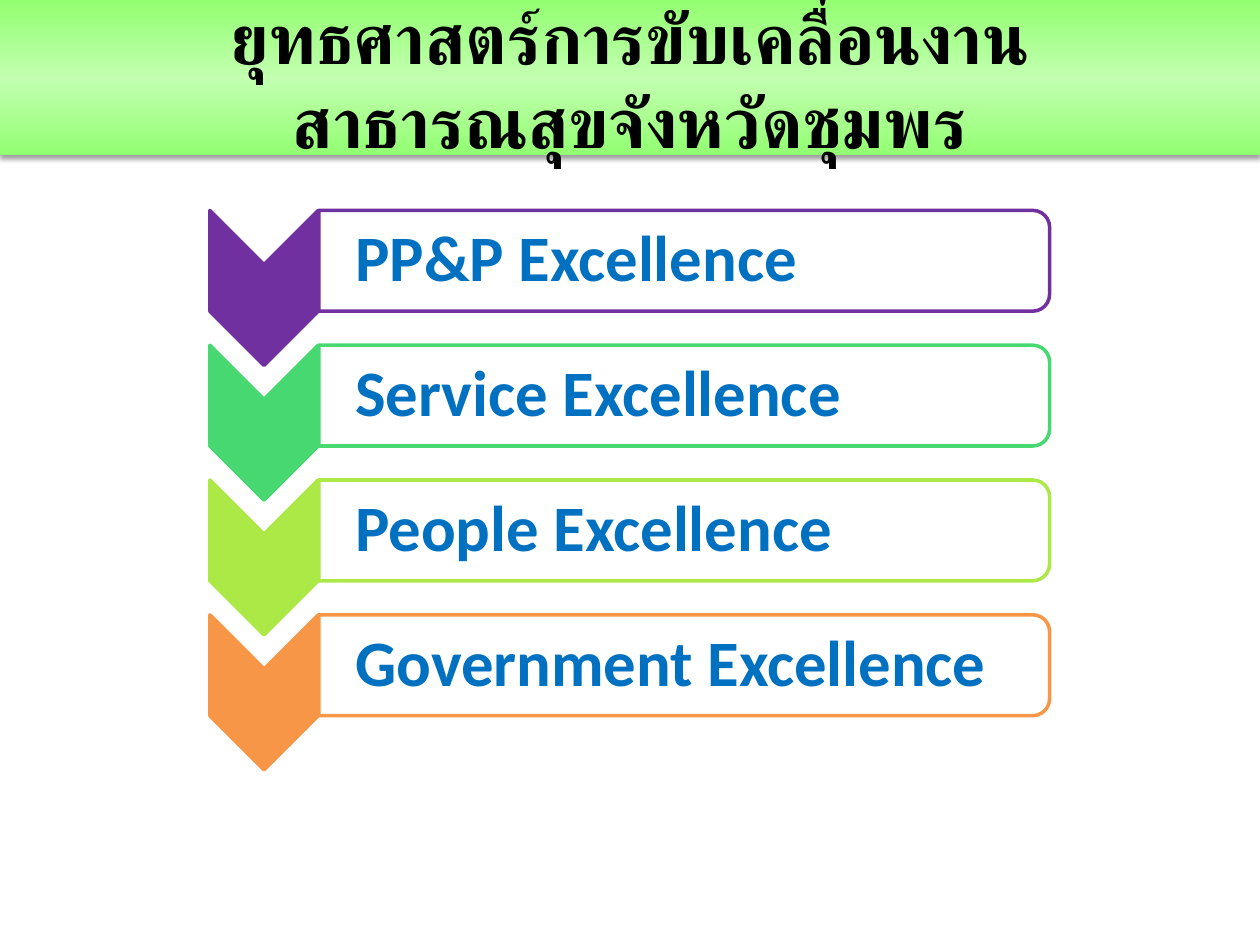
from copy import deepcopy

from lxml import etree
from pptx import Presentation
from pptx import util as u
from pptx.dml.color import RGBColor
from pptx.enum import lang, shapes, text
from pptx.oxml import parse_xml
from pptx.oxml.ns import nsdecls, qn

COLORS = {
    "band_edge": "92FF70", "band_middle": "C2FFB0", "band_end": "93FF73",
    "title": "000000", "label": "0070C0", "bar": "FFFFFF", "shadow": "000000",
    "purple": "7030A0", "green": "47D872", "lime": "ACE946", "orange": "F79646",
}
STRATEGIES = [
    ("PP&P Excellence", "purple"),
    ("Service Excellence", "green"),
    ("People Excellence", "lime"),
    ("Government Excellence", "orange"),
]
COLUMNS, ROWS = 100, 75
FIRST_ROW, ROW_STEP = 16.7, 10.7


class SlideBuilder:
    """Draws on one slide; places are left, top, width, height in grid units."""

    def __init__(self, deck):
        self.page = deck.slides.add_slide(deck.slide_layouts[6])
        self.column = deck.slide_width / COLUMNS
        self.row = deck.slide_height / ROWS
        self.font = "Calibri"

    def place(self, left, top, width, height):
        return (u.Emu(round(left * self.column)), u.Emu(round(top * self.row)),
                u.Emu(round(width * self.column)), u.Emu(round(height * self.row)))

    def color(self, name):
        return RGBColor.from_string(COLORS[name])

    def band(self, *area):
        """Adds a three-stop vertical gradient with a soft shadow below it."""
        band = self.page.shapes.add_shape(shapes.MSO_SHAPE.RECTANGLE, *self.place(*area))
        band.line.fill.background()
        band.fill.gradient()
        band.fill.gradient_angle = 270
        stop_list = band._element.spPr.find(".//" + qn("a:gsLst"))
        stop_list.insert(1, deepcopy(stop_list[0]))
        stops = zip(band.fill.gradient_stops, ("band_edge", "band_middle", "band_end"), (0, 0.5, 1))
        for stop, name, position in stops:
            stop.color.rgb = self.color(name)
            stop.position = position
        band.shadow.inherit = False
        effects = band._element.spPr.find(qn("a:effectLst"))
        effects.append(parse_xml(
            f'<a:outerShdw {nsdecls("a")} blurRad="{u.Pt(3.1)}" dist="{u.Pt(1.6)}" '
            f'dir="5400000" rotWithShape="0"><a:srgbClr val="{COLORS["shadow"]}">'
            '<a:alpha val="38000"/></a:srgbClr></a:outerShdw>'))

    def turned(self, kind, area, fill, line, opacity=100):
        """Adds a shape turned a quarter clockwise that covers the given area."""
        left, top, width, height = self.place(*area)
        shift = (width - height) // 2
        shape = self.page.shapes.add_shape(kind, left + shift, top - shift, height, width)
        shape.rotation = 90
        shape.shadow.inherit = False
        shape.fill.solid()
        shape.fill.fore_color.rgb = self.color(fill)
        if opacity < 100:
            color = shape._element.spPr.find(qn("a:solidFill"))[0]
            etree.SubElement(color, qn("a:alpha"), val=str(opacity * 1000))
        shape.line.color.rgb = self.color(line)
        shape.line.width = u.Pt(2)

    def words(self, content, area, size, color, align, insets, spacing=1.0, language=None):
        box = self.page.shapes.add_textbox(*self.place(*area))
        frame = box.text_frame
        frame.word_wrap = True
        frame.vertical_anchor = text.MSO_ANCHOR.MIDDLE
        frame.margin_left, frame.margin_top, frame.margin_right, frame.margin_bottom = map(u.Inches, insets)
        para = frame.paragraphs[0]
        para.alignment = align
        para.line_spacing = spacing
        span = para.add_run()
        span.text = content
        span.font.name = self.font
        span.font.size = u.Pt(size)
        span.font.bold = True
        span.font.color.rgb = self.color(color)
        if language:
            span.font.language_id = language

    def strategy(self, top, label, color):
        self.turned(shapes.MSO_SHAPE.CHEVRON, (16.65, top, 8.6, 12.3), color, color)
        self.turned(shapes.MSO_SHAPE.ROUND_2_SAME_RECTANGLE, (25.3, top, 58, 8), "bar", color, opacity=90)
        self.words(label, (25.3, top + 0.4, 57.6, 7.2), 37, "label", text.PP_ALIGN.LEFT,
                   (0.29, 0.03, 0.03, 0.03), spacing=0.9)


def main():
    deck = Presentation()
    deck.slide_width, deck.slide_height = u.Inches(10), u.Inches(7.5)
    slide = SlideBuilder(deck)
    slide.band(0, 0, COLUMNS, 12.3)
    slide.words("ยุทธศาสตร์การขับเคลื่อนงานสาธารณสุขจังหวัดชุมพร", (5, 0, 90, 12.5), 40, "title",
                text.PP_ALIGN.CENTER, (0.1, 0.05, 0.1, 0.05), language=lang.MSO_LANGUAGE_ID.THAI)
    for index, (label, color) in enumerate(STRATEGIES):
        slide.strategy(FIRST_ROW + index * ROW_STEP, label, color)
    deck.save("out.pptx")


if __name__ == "__main__":
    main()
